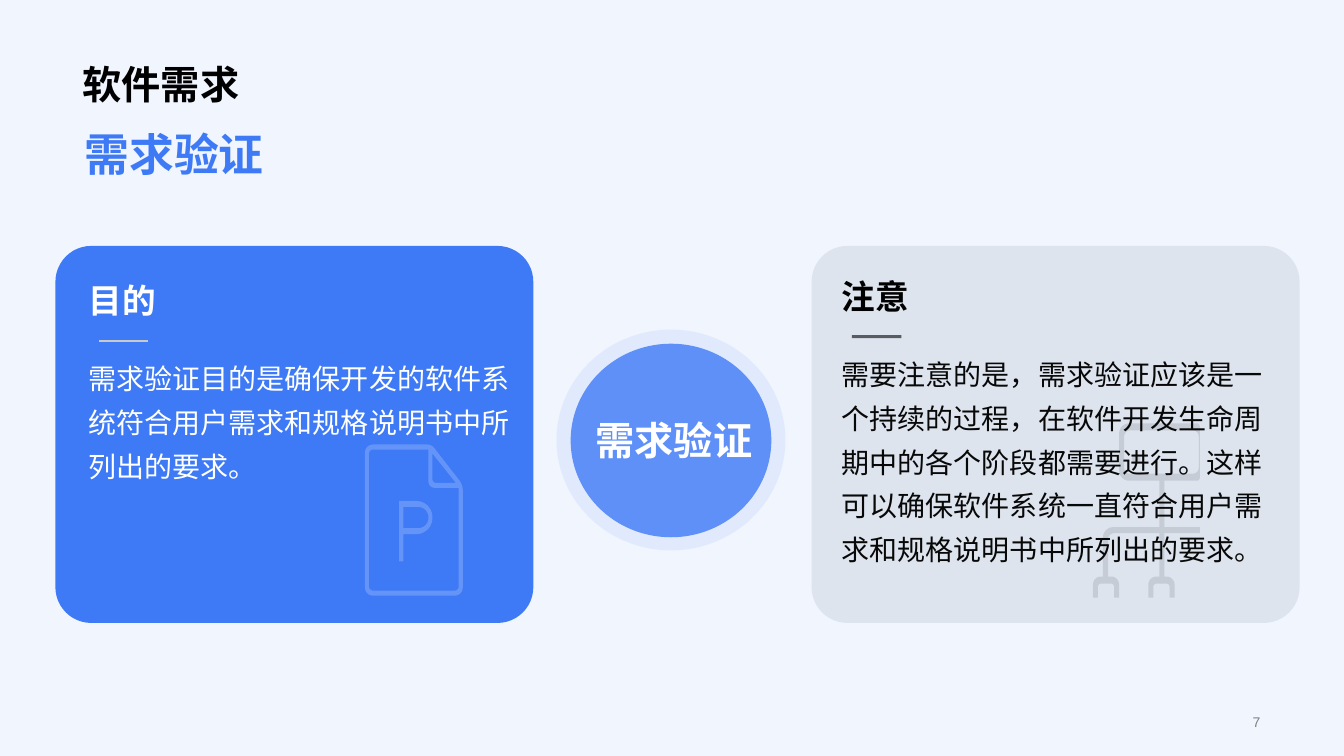
from pptx import Presentation, util as u
from pptx.dml.color import RGBColor
from pptx.enum import shapes, text
from pptx.oxml import ns, xmlchemy as xc

PX = 9144  # EMU per px, 100 px to the inch
COLORS = {
    "page": "F0F5FE", "blue": "3E7AF6", "halo": "D8E4FD", "slate": "778495",
    "black": "000000", "ink": "080808", "white": "FFFFFF",
    "grey": "808080", "silver": "C9C9C9",
}


def rounded(points, steps=6):
    """Turn corners (x, y, optional radius) into outline points in EMU."""
    outline = []
    for i, (x, y, *radius) in enumerate(points):
        if not radius:
            outline.append((x * PX, y * PX))
            continue
        ends = []
        for nx, ny, *_ in (points[i - 1], points[(i + 1) % len(points)]):
            k = radius[0] / ((nx - x) ** 2 + (ny - y) ** 2) ** 0.5
            ends.append((x + (nx - x) * k, y + (ny - y) * k))
        (ax, ay), (bx, by) = ends
        for step in range(steps + 1):
            t = step / steps
            a, c, b = (1 - t) ** 2, 1.41 * t * (1 - t), t ** 2
            total = a + b + c
            outline.append(((a * ax + c * x + b * bx) / total * PX,
                            (a * ay + c * y + b * by) / total * PX))
    return outline


def box(x, y, w, h, r):
    return [(x, y, r), (x + w, y, r), (x + w, y + h, r), (x, y + h, r)]


def foot(x):
    """Corners of one stand foot, from its right shoulder to its left one."""
    return [(x + 26, 572, 8), (x + 26, 593), (x + 21, 593), (x + 21, 579, 3),
            (x + 5, 579, 3), (x + 5, 593), (x, 593), (x, 572, 8)]


DOCUMENT_ICON = [
    [(362, 441, 8), (428, 441, 4), (459, 481, 5), (459, 591, 8), (362, 591, 8)],
    [(366, 446, 4), (425, 446), (425, 484, 6), (455, 484), (455, 586, 4), (366, 586, 4)],
    [(396, 497), (429, 497, 16), (429, 530, 16), (400, 530), (400, 557), (396, 557)],
    [(400, 503), (425, 503, 10), (425, 524, 10), (400, 524)],
    [(429, 450), (429, 479, 3), (452, 479)],
]
STAND_ICON = [
    box(1123, 450, 8, 10, 4),
    box(1115, 427, 74, 43, 6),
    [(1110, 420, 10), (1190, 420, 3), (1190, 477, 3), (1155, 477), (1155, 523),
     (1190, 523), (1190, 529), (1155, 529), (1155, 572), *foot(1139),
     (1150, 572), (1150, 529), (1099, 529, 6), (1099, 572), *foot(1084),
     (1094, 572), (1094, 523, 10), (1150, 523), (1150, 477), (1110, 477, 10)],
]


class Deck:
    def __init__(self, width, height, font):
        self.prs = Presentation()
        self.prs.slide_width, self.prs.slide_height = width * PX, height * PX
        self.font = font
        self.slide = self.prs.slides.add_slide(self.prs.slide_layouts[5])
        self.paint(self.slide.background.fill, "page")

    def paint(self, fill, color):
        fill.solid()
        fill.fore_color.rgb = RGBColor.from_string(COLORS[color])

    def fade(self, s, percent):
        """Set the opacity of every colour in the shape's own formatting."""
        if percent < 100:
            for color in s._element.spPr.iter(ns.qn("a:srgbClr")):
                alpha = xc.OxmlElement("a:alpha")
                alpha.set("val", str(percent * 1000))
                color.append(alpha)

    def finish(self, s, color, opacity):
        s.shadow.inherit = False
        s.line.fill.background()
        self.paint(s.fill, color)
        self.fade(s, opacity)

    def shape(self, kind, at, color, opacity=100, corner=None):
        s = self.slide.shapes.add_shape(kind, *(v * PX for v in at))
        if corner:
            s.adjustments[0] = corner
        self.finish(s, color, opacity)

    def icon(self, contours, color, opacity):
        first, *rest = map(rounded, contours)
        builder = self.slide.shapes.build_freeform(*first[0], scale=1.0)
        builder.add_line_segments(first[1:], close=True)
        for outline in rest:
            builder.move_to(*outline[0])
            builder.add_line_segments(outline[1:], close=True)
        self.finish(builder.convert_to_shape(), color, opacity)

    def line(self, x, y, length, color, width, opacity=100):
        s = self.slide.shapes.add_connector(
            shapes.MSO_CONNECTOR.STRAIGHT, x * PX, y * PX, (x + length) * PX, y * PX)
        self.paint(s.line.fill, color)
        s.line.width = u.Pt(width)
        s._element.spPr.append(xc.OxmlElement("a:effectLst"))
        self.fade(s, opacity)

    def text(self, words, at, size, color, bold=False, align="LEFT",
             anchor="BOTTOM", spacing=None, title=False):
        x, y, w, h = (v * PX for v in at)
        if title:
            s = self.slide.shapes.title
            s.left, s.top, s.width, s.height = x, y, w, h
        else:
            s = self.slide.shapes.add_textbox(x, y, w, h)
        tf = s.text_frame
        tf.word_wrap = True
        tf.auto_size = text.MSO_AUTO_SIZE.NONE
        tf.vertical_anchor = text.MSO_ANCHOR[anchor]
        p = tf.paragraphs[0]
        p.alignment = text.PP_ALIGN[align]
        p.line_spacing = spacing
        r = p.add_run()
        r.text = words
        r.font.name, r.font.size, r.font.bold = self.font, u.Pt(size), bold
        self.paint(r.font.fill, color)

    def card(self, panel, fill, opacity, x, y, heading, heading_color,
             body, body_color, rule):
        """Draw a panel whose heading, short rule and body start at x, y."""
        self.shape(shapes.MSO_SHAPE.ROUNDED_RECTANGLE, panel, fill, opacity, 0.095)
        self.text(heading, (x, y, 362, 50), 24, heading_color, bold=True)
        self.line(x + 20, y + 65, 49, *rule)
        self.text(body, (x, y + 71, 454, 225), 20, body_color,
                  anchor="TOP", spacing=1.3)


def main():
    deck = Deck(1333, 750, "Arial")
    deck.text("软件需求", (72, 0, 1188, 112), 28, "black", bold=True,
              spacing=0.9, title=True)
    deck.text("需求验证", (74, 120, 651, 64), 32, "blue", bold=True)
    deck.text("7", (969, 704, 291, 24), 10, "grey", align="RIGHT", anchor="MIDDLE")

    deck.card((55, 244, 474, 374), "blue", 100, 78, 273, "目的", "white",
              "需求验证目的是确保开发的软件系统符合用户需求和规格说明书中所列出的要求。",
              "white", ("silver", 1.5))
    deck.icon(DOCUMENT_ICON, "white", 20)

    deck.card((805, 244, 484, 374), "slate", 15, 825, 269, "注意", "black",
              "需要注意的是，需求验证应该是一个持续的过程，在软件开发生命周期中的各个阶段"
              "都需要进行。这样可以确保软件系统一直符合用户需求和规格说明书中所列出的要求。",
              "ink", ("black", 2, 60))
    deck.icon(STAND_ICON, "black", 10)

    deck.shape(shapes.MSO_SHAPE.OVAL, (552, 327, 227, 219), "halo", 60)
    deck.shape(shapes.MSO_SHAPE.OVAL, (566, 341, 199, 192), "blue", 80)
    deck.text("需求验证", (572, 408, 193, 57), 28, "white", bold=True, align="CENTER")
    deck.prs.save("out.pptx")


if __name__ == "__main__":
    main()
